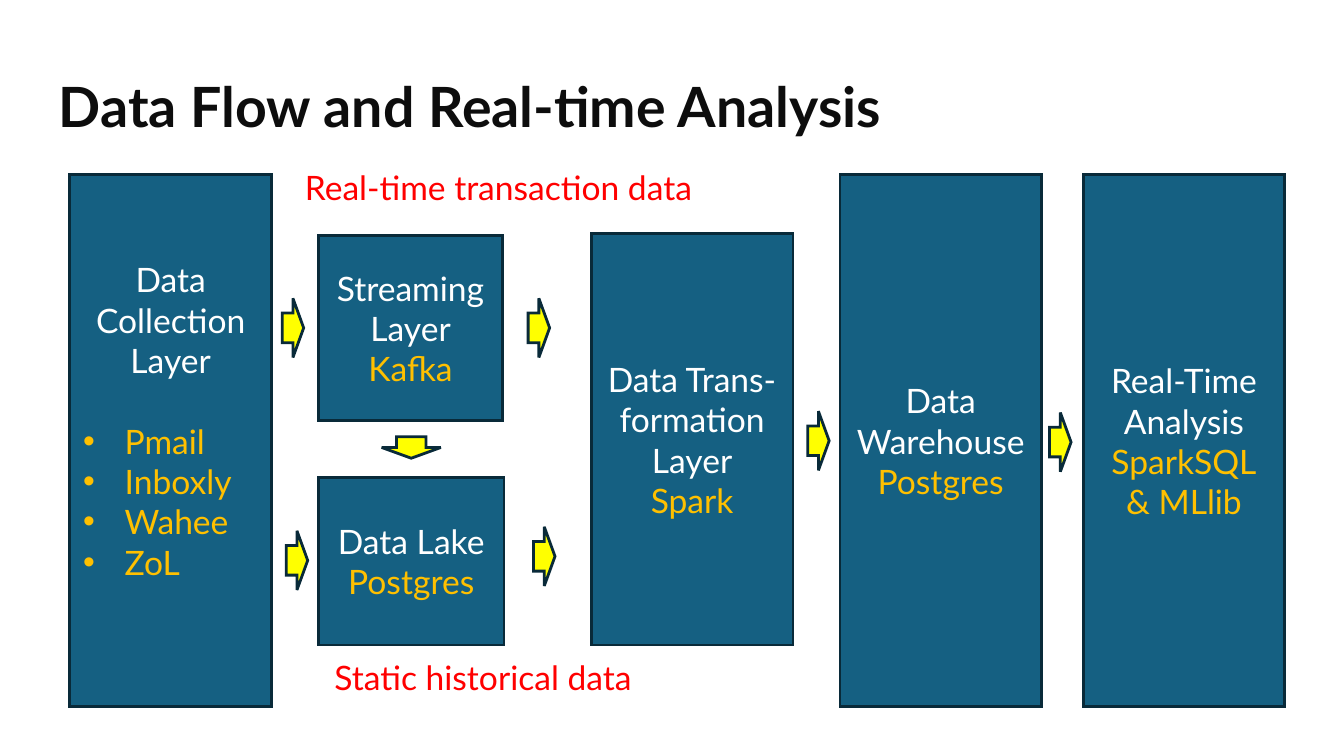
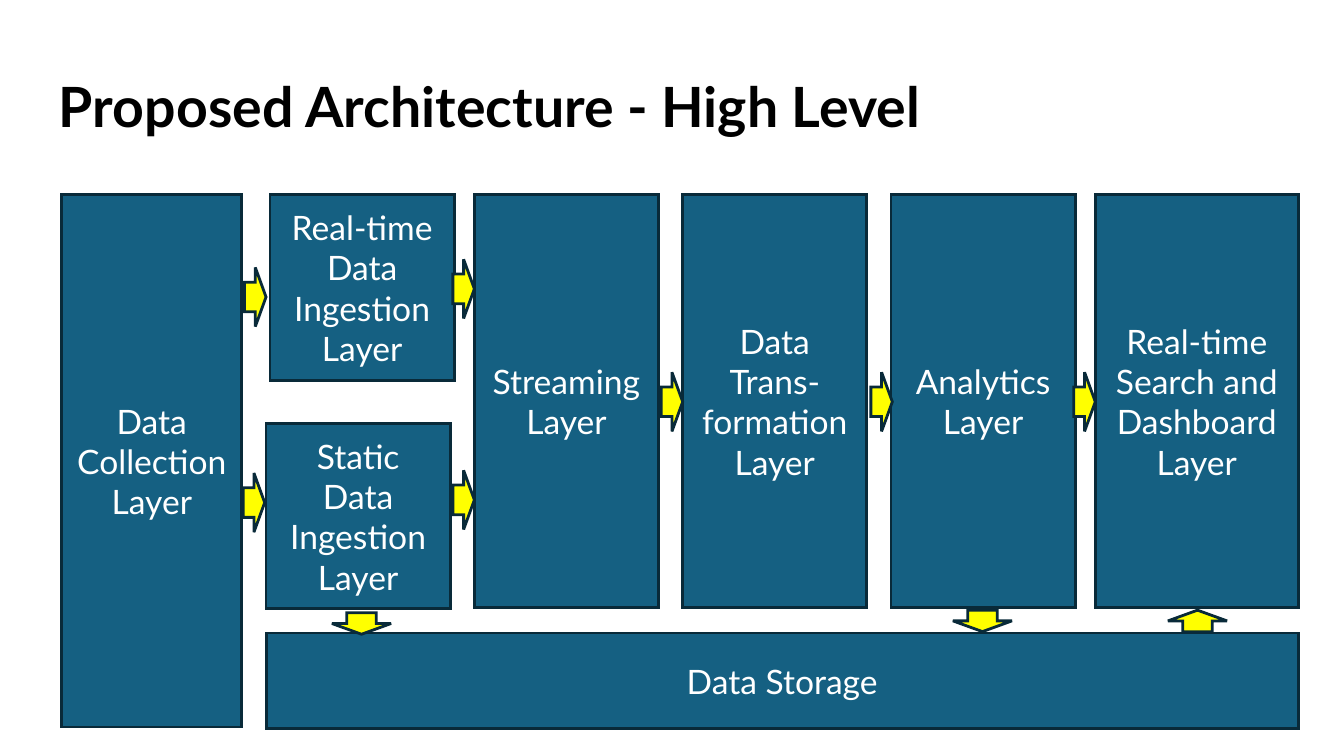
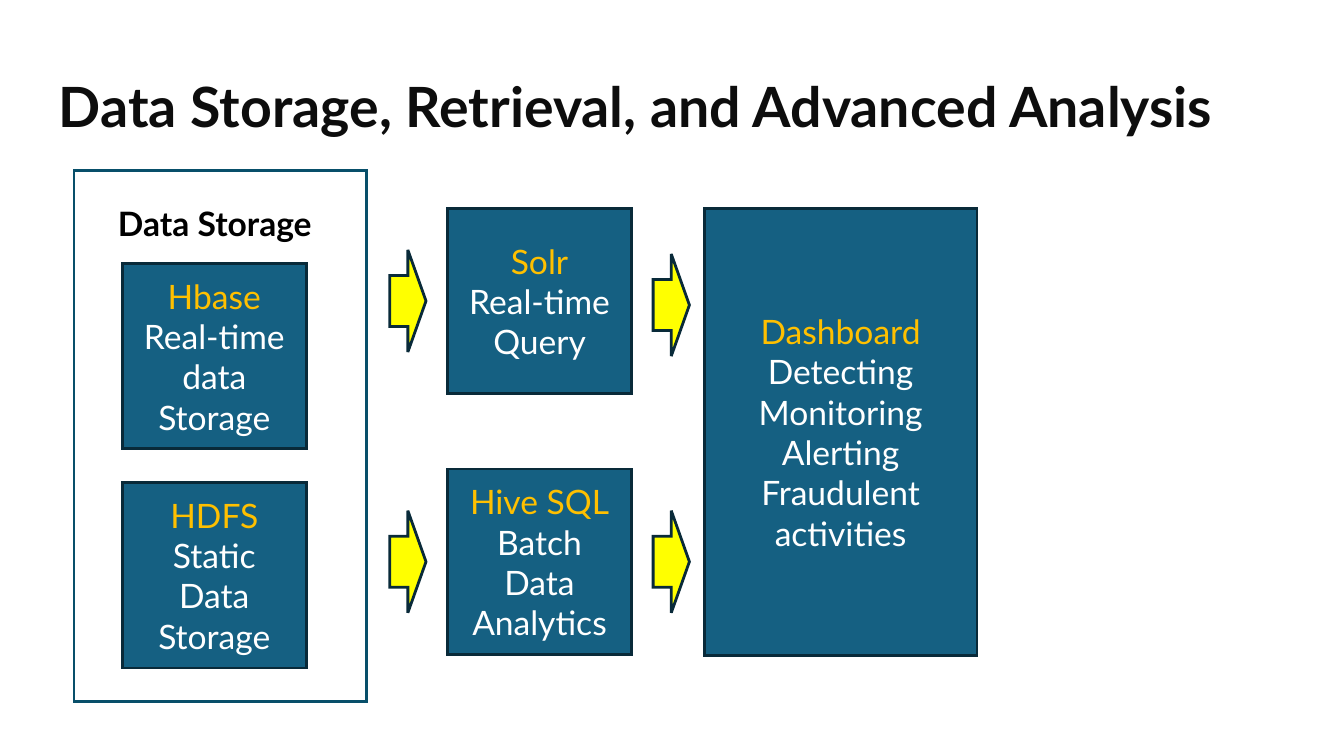
from lxml.etree import SubElement
from pptx import Presentation
from pptx.dml.color import RGBColor
from pptx.enum.shapes import MSO_SHAPE
from pptx.enum.text import MSO_ANCHOR, PP_ALIGN
from pptx.oxml.ns import qn
from pptx.util import Inches, Pt

BLUE = RGBColor(0x15, 0x60, 0x82)
NAVY = RGBColor(0x09, 0x2A, 0x39)
FRAME_BLUE = RGBColor(0x08, 0x4F, 0x6A)
YELLOW = RGBColor(0xFF, 0xFF, 0x00)
AMBER = RGBColor(0xFF, 0xC0, 0x00)
RED = RGBColor(0xFF, 0x00, 0x00)
WHITE = RGBColor(0xFF, 0xFF, 0xFF)
BLACK = RGBColor(0x00, 0x00, 0x00)
INK = RGBColor(0x0D, 0x0D, 0x0D)


class Deck:
    """Hold the diagram style and the slide being filled."""

    font_name = "Lato"
    body_size = 18
    title_size = 29.7

    def __init__(self):
        self.presentation = Presentation()
        self.presentation.slide_width = Inches(10)
        self.presentation.slide_height = Inches(10 * 9 / 16)
        self.slide = None

    def add_slide(self, title, color=INK):
        """Start a blank slide with a bold title."""
        layout = self.presentation.slide_layouts[6]
        self.slide = self.presentation.slides.add_slide(layout)
        frame = self.text(0.34, 0.49, 9.32, 0.63, title, color, self.title_size, True)
        frame.word_wrap = True
        frame.margin_top = frame.margin_bottom = Inches(0.1)
        frame.paragraphs[0].line_spacing = 0.9

    def format(self, paragraph, color, size=body_size, bold=False):
        """Apply the deck font to every run of a paragraph."""
        for run in paragraph.runs:
            run.font.name = self.font_name
            run.font.size = Pt(size)
            run.font.bold = bold
            run.font.color.rgb = color

    def text(self, left, top, width, height, text, color, size=body_size, bold=False):
        """Add one line of free text and return its frame."""
        textbox = self.slide.shapes.add_textbox(
            Inches(left), Inches(top), Inches(width), Inches(height))
        frame = textbox.text_frame
        frame.word_wrap = False
        frame.text = text
        self.format(frame.paragraphs[0], color, size, bold)
        return frame

    def shape(self, kind, left, top, width, height, fill, line=NAVY):
        """Add a sharp-cornered preset shape, hollow when fill is None."""
        shape = self.slide.shapes.add_shape(
            kind, Inches(left), Inches(top), Inches(width), Inches(height))
        shape.shadow.inherit = False
        if fill is None:
            shape.fill.background()
        else:
            shape.fill.solid()
            shape.fill.fore_color.rgb = fill
        shape.line.color.rgb = line
        shape.line.width = Pt(1.5)
        outline = shape._element.spPr.find(qn("a:ln"))
        SubElement(outline, qn("a:miter")).set("lim", "800000")
        return shape

    def box(self, left, top, width, height, text, accents=()):
        """Add a process box whose accent lines are amber."""
        shape = self.shape(MSO_SHAPE.FLOWCHART_PROCESS, left, top, width, height, BLUE)
        frame = shape.text_frame
        frame.word_wrap = True
        frame.vertical_anchor = MSO_ANCHOR.MIDDLE
        frame.text = text
        for paragraph in frame.paragraphs:
            paragraph.alignment = PP_ALIGN.CENTER
            self.format(paragraph, AMBER if paragraph.text in accents else WHITE)
        return frame

    def bullets(self, frame):
        """Turn all paragraphs after the heading into a bullet list."""
        items = frame.paragraphs[1:]
        items[0].space_before = Pt(21.6)
        frame.margin_bottom = Inches(0.35)
        for paragraph in items:
            paragraph.alignment = PP_ALIGN.LEFT
            properties = paragraph._p.get_or_add_pPr()
            properties.set("marL", str(Inches(0.31)))
            properties.set("indent", str(-Inches(0.31)))
            SubElement(properties, qn("a:buFont")).set("typeface", "Arial")
            SubElement(properties, qn("a:buChar")).set("char", "•")

    def arrow(self, left, top, rotation=0, width=0.16, height=0.44):
        """Add a yellow block arrow."""
        shape = self.shape(MSO_SHAPE.RIGHT_ARROW, left, top, width, height, YELLOW)
        shape.rotation = rotation


def add_data_flow(deck):
    """Build the data flow slide."""
    deck.add_slide("Data Flow and Real-time Analysis")
    providers = ("Pmail", "Inboxly", "Wahee", "ZoL")
    collection = deck.box(0.52, 1.3, 1.5, 3.96,
                          "\n".join(("Data Collection Layer",) + providers), providers)
    deck.bullets(collection)
    deck.box(2.37, 1.75, 1.37, 1.38, "Streaming Layer\nKafka", ("Kafka",))
    deck.box(2.37, 3.55, 1.38, 1.25, "Data Lake\nPostgres", ("Postgres",))
    deck.box(4.4, 1.74, 1.5, 3.06, "Data Trans-formation Layer\nSpark", ("Spark",))
    deck.box(6.25, 1.3, 1.5, 3.96, "Data Warehouse\nPostgres", ("Postgres",))
    deck.box(8.06, 1.3, 1.5, 3.96, "Real-Time Analysis\nSparkSQL\n& MLlib",
             ("SparkSQL", "& MLlib"))
    deck.text(2.17, 1.19, 3.1, 0.4, "Real-time transaction data", RED)
    deck.text(2.39, 4.84, 2.44, 0.71, "Static historical data", RED)
    for left, top in ((2.1, 2.22), (3.93, 2.22), (2.13, 3.95), (3.97, 3.92),
                      (6.01, 3.06), (7.81, 3.07)):
        deck.arrow(left, top)
    deck.arrow(2.98, 3.11, 90)


def add_architecture(deck):
    """Build the high level architecture slide."""
    deck.add_slide("Proposed Architecture - High Level", BLACK)
    deck.box(0.46, 1.45, 1.34, 3.96, "Data Collection Layer")
    deck.box(2.01, 1.45, 1.37, 1.38, "Real-time Data Ingestion Layer")
    deck.box(1.98, 3.15, 1.37, 1.38, "Static Data Ingestion Layer")
    layers = ("Streaming Layer", "Data Trans-formation Layer", "Analytics Layer")
    for index, layer in enumerate(layers):
        deck.box(3.53 + 1.55 * index, 1.45, 1.37, 3.07, layer)
    deck.box(8.15, 1.45, 1.51, 3.07, "Real-time Search and Dashboard\nLayer")
    deck.box(1.98, 4.71, 7.68, 0.71, "Data Storage")
    for left, top in ((1.82, 1.99), (1.81, 3.52), (3.37, 1.93), (3.37, 3.5),
                      (4.92, 2.77), (6.48, 2.77), (7.99, 2.77)):
        deck.arrow(left, top)
    for left, top, rotation in ((2.61, 4.42, 90), (7.23, 4.4, 90), (8.83, 4.4, 270)):
        deck.arrow(left, top, rotation)


def add_storage(deck):
    """Build the storage and retrieval slide."""
    deck.add_slide("Data Storage, Retrieval, and Advanced Analysis")
    for left, top, tool, purpose in (
            (0.91, 1.96, "Hbase", "Real-time data Storage"),
            (0.91, 3.59, "HDFS", "Static Data Storage"),
            (3.33, 1.55, "Solr", "Real-time Query"),
            (3.33, 3.49, "Hive SQL", "Batch Data Analytics")):
        deck.box(left, top, 1.37, 1.38, f"{tool}\n{purpose}", (tool,))
    deck.box(5.24, 1.55, 2.03, 3.33,
             "Dashboard\nDetecting\nMonitoring\nAlerting\nFraudulent activities",
             ("Dashboard",))
    deck.shape(MSO_SHAPE.FLOWCHART_PROCESS, 0.55, 1.27, 2.18, 3.95, None, FRAME_BLUE)
    deck.text(0.78, 1.46, 1.67, 0.4, "Data Storage", BLACK, bold=True)
    for left, top in ((2.9, 1.86), (4.86, 1.89), (2.9, 3.8), (4.86, 3.8)):
        deck.arrow(left, top, width=0.27, height=0.76)


def main():
    """Build and save the presentation."""
    deck = Deck()
    add_data_flow(deck)
    add_architecture(deck)
    add_storage(deck)
    deck.presentation.save("out.pptx")


if __name__ == "__main__":
    main()
